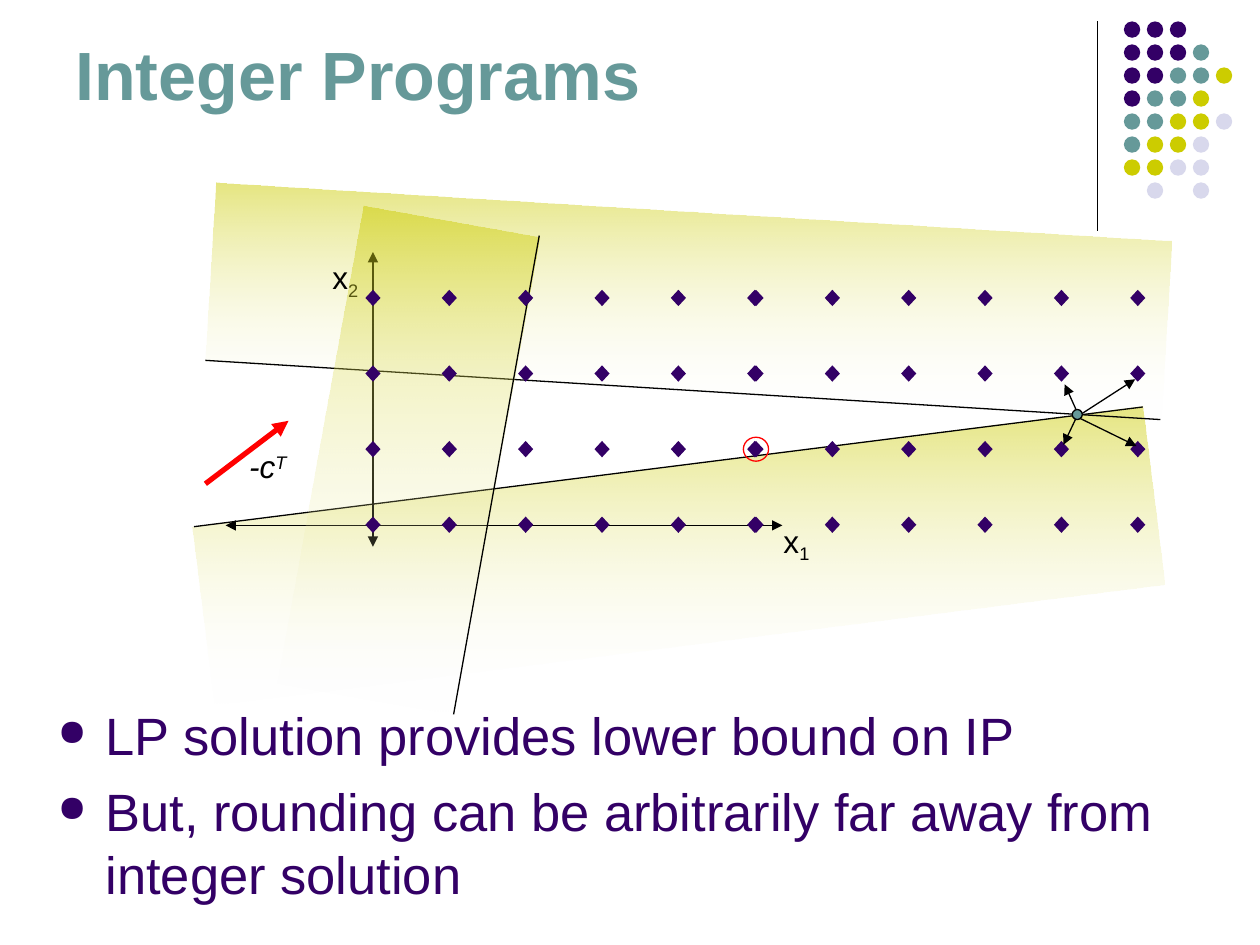
import pptx
import pptx.dml.color
import pptx.enum.shapes
import pptx.enum.text
import pptx.oxml
import pptx.oxml.ns
import pptx.util
from lxml import etree
from pptx.util import Inches

COLORS = {
    "purple": "330066",
    "teal": "669999",
    "olive": "CCCC00",
    "lavender": "D8D8EC",
    "pale": "FEFEFE",
    "black": "000000",
    "red": "FF0000",
}
SHAPES = pptx.enum.shapes.MSO_SHAPE
ANCHORS = pptx.enum.text.MSO_ANCHOR
AUTO_SIZES = pptx.enum.text.MSO_AUTO_SIZE
qn = pptx.oxml.ns.qn


def rgb(name):
    return pptx.dml.color.RGBColor.from_string(COLORS[name])


def set_values(target, values):
    for name, value in values.items():
        setattr(target, name, value)


class SlideBuilder:
    font_name = "Arial"
    thin = 0.75

    def __init__(self, slide):
        self.slide = slide

    def shape(self, kind, left, top, width, height, fill=None, line=None):
        shape = self.slide.shapes.add_shape(
            kind, Inches(left), Inches(top), Inches(width), Inches(height))
        shape.shadow.inherit = False
        if fill:
            shape.fill.solid()
            shape.fill.fore_color.rgb = rgb(fill)
        else:
            shape.fill.background()
        if line:
            shape.line.color.rgb = rgb(line)
            shape.line.width = pptx.util.Pt(self.thin)
        else:
            shape.line.fill.background()
        return shape

    def half_plane(self, left, top, width, height, rotation):
        """Rotated rectangle that fades downwards on the page, whatever its rotation."""
        region = self.shape(SHAPES.RECTANGLE, left, top, width, height)
        region.rotation = rotation
        region.fill.gradient()
        region.fill.gradient_angle = 270
        gradient = region._element.spPr.find(qn("a:gradFill"))
        gradient.set("rotWithShape", "0")
        fades = (("olive", 0, 50000), ("pale", 1, 0))
        colors = gradient.iter(qn("a:gs"))
        for stop, element, (color, position, alpha) in zip(
                region.fill.gradient_stops, colors, fades):
            set_values(stop, {"position": position})
            stop.color.rgb = rgb(color)
            etree.SubElement(element[0], qn("a:alpha"), val=str(alpha))

    def line(self, start, end, color="black", width=thin, arrows=()):
        """Straight line; arrows names the ends that carry a head (headEnd, tailEnd)."""
        line = self.slide.shapes.add_connector(
            pptx.enum.shapes.MSO_CONNECTOR.STRAIGHT,
            *(Inches(value) for value in (*start, *end)))
        line.line.color.rgb = rgb(color)
        line.line.width = pptx.util.Pt(width)
        properties = line._element.spPr
        for arrow in arrows:
            etree.SubElement(properties.find(qn("a:ln")), qn(f"a:{arrow}"), type="triangle")
        etree.SubElement(properties, qn("a:effectLst"))

    def text_frame(self, left, top, width, height, **values):
        box = self.slide.shapes.add_textbox(
            Inches(left), Inches(top), Inches(width), Inches(height))
        set_values(box.text_frame, {
            "word_wrap": True, "vertical_anchor": ANCHORS.TOP, **values})
        return box.text_frame

    def run(self, paragraph, text, color, size, **values):
        run = paragraph.add_run()
        run.text = text
        set_values(run.font, {
            "name": self.font_name, "size": pptx.util.Pt(size), **values})
        run.font.color.rgb = rgb(color)
        return run

    def label(self, place, text, script, baseline, italic=False):
        """Symbol with a raised or lowered index; baseline is in percent."""
        frame = self.text_frame(*place, auto_size=AUTO_SIZES.SHAPE_TO_FIT_TEXT)
        paragraph = frame.paragraphs[0]
        self.run(paragraph, text, "black", 18, italic=italic)
        index = self.run(paragraph, script, "black", 18, italic=italic)
        index.font._element.set("baseline", str(baseline * 1000))

    def bullets(self, place, points):
        frame = self.text_frame(*place)
        for number, point in enumerate(points):
            paragraph = frame.add_paragraph() if number else frame.paragraphs[0]
            properties = paragraph._p.get_or_add_pPr()
            properties.set("marL", str(Inches(0.38)))
            properties.set("indent", str(-Inches(0.38)))
            bullet_color = etree.SubElement(properties, qn("a:buClr"))
            etree.SubElement(bullet_color, qn("a:srgbClr"), val=COLORS["purple"])
            etree.SubElement(properties, qn("a:buSzPct"), val="70000")
            etree.SubElement(properties, qn("a:buChar"), char="●")
            if number:
                paragraph.space_before = pptx.util.Pt(7.5)
            self.run(paragraph, point, "purple", 30)

    def corner_dots(self):
        names = {"p": "purple", "t": "teal", "o": "olive", "l": "lavender"}
        rows = ("ppp", "pppt", "pptto", "ptto", "ttool", "tool", "ooll", " l l")
        pitch = 0.73 / 4
        for row, letters in enumerate(rows):
            for column, letter in enumerate(letters):
                if letter in names:
                    self.shape(SHAPES.OVAL, 8.92 + column * pitch, 0.17 + row * pitch,
                               0.13, 0.13, names[letter])

    def integer_points(self, left):
        pitch = 3.03 / 5
        for row in range(4):
            for column in range(6):
                self.shape(SHAPES.DIAMOND, left + column * pitch, 4.1 - row * 0.6,
                           0.12, 0.13, "purple")


def main():
    deck = pptx.Presentation()
    set_values(deck, {"slide_width": Inches(10), "slide_height": Inches(7.5)})
    builder = SlideBuilder(deck.slides.add_slide(deck.slide_layouts[6]))

    builder.line((8.71, 0.17), (8.71, 1.83))
    builder.corner_dots()

    # Lower and upper constraints
    builder.half_plane(1.59, 3.7, 7.59, 1.42, 352.8)
    builder.line((1.54, 4.18), (9.07, 3.23))
    builder.half_plane(1.67, 1.68, 7.59, 1.42, 183.5)
    builder.line((9.21, 3.33), (1.63, 2.86))

    title = builder.text_frame(0.5, 0.13, 8.25, 1.42, margin_top=Inches(0.13))
    builder.run(title.paragraphs[0], "Integer Programs", "teal", 39, bold=True)
    builder.bullets((0.36, 5.53, 9, 1.97), (
        "LP solution provides lower bound on IP",
        "But, rounding can be arbitrarily far away from integer solution",
    ))

    # Objective direction and axes
    builder.line((1.63, 3.84), (2.29, 3.34), "red", 3, ("tailEnd",))
    builder.label((1.88, 3.5, 0.67, 0.4), "-c", "T", 30, italic=True)
    both_ends = ("headEnd", "tailEnd")
    builder.line((2.96, 2), (2.96, 4.34), arrows=both_ends)
    builder.line((1.79, 4.17), (6.21, 4.17), arrows=both_ends)
    builder.label((6.12, 4.09, 0.83, 0.44), "x", "1", -25)
    builder.label((2.54, 2, 0.5, 0.44), "x", "2", -25)

    # Left constraint
    builder.half_plane(1.32, 2.94, 3.85, 1.42, 100.2)
    builder.line((4.28, 1.87), (3.6, 5.67))

    # Integer points with the integer optimum ringed
    builder.integer_points(2.9)
    builder.shape(SHAPES.OVAL, 5.9, 3.47, 0.2, 0.19, line="red")
    builder.integer_points(5.94)

    # LP optimum with its possible roundings
    roundings = (
        ((8.54, 3.25), (8.45, 3.05)),
        ((8.54, 3.32), (8.44, 3.53)),
        ((8.55, 3.31), (9.02, 3.54)),
        ((8.56, 3.3), (9.01, 3.01)),
    )
    for start, end in roundings:
        builder.line(start, end, arrows=("tailEnd",))
    builder.shape(SHAPES.OVAL, 8.51, 3.25, 0.08, 0.08, "teal", "black")

    deck.save("out.pptx")


if __name__ == "__main__":
    main()
